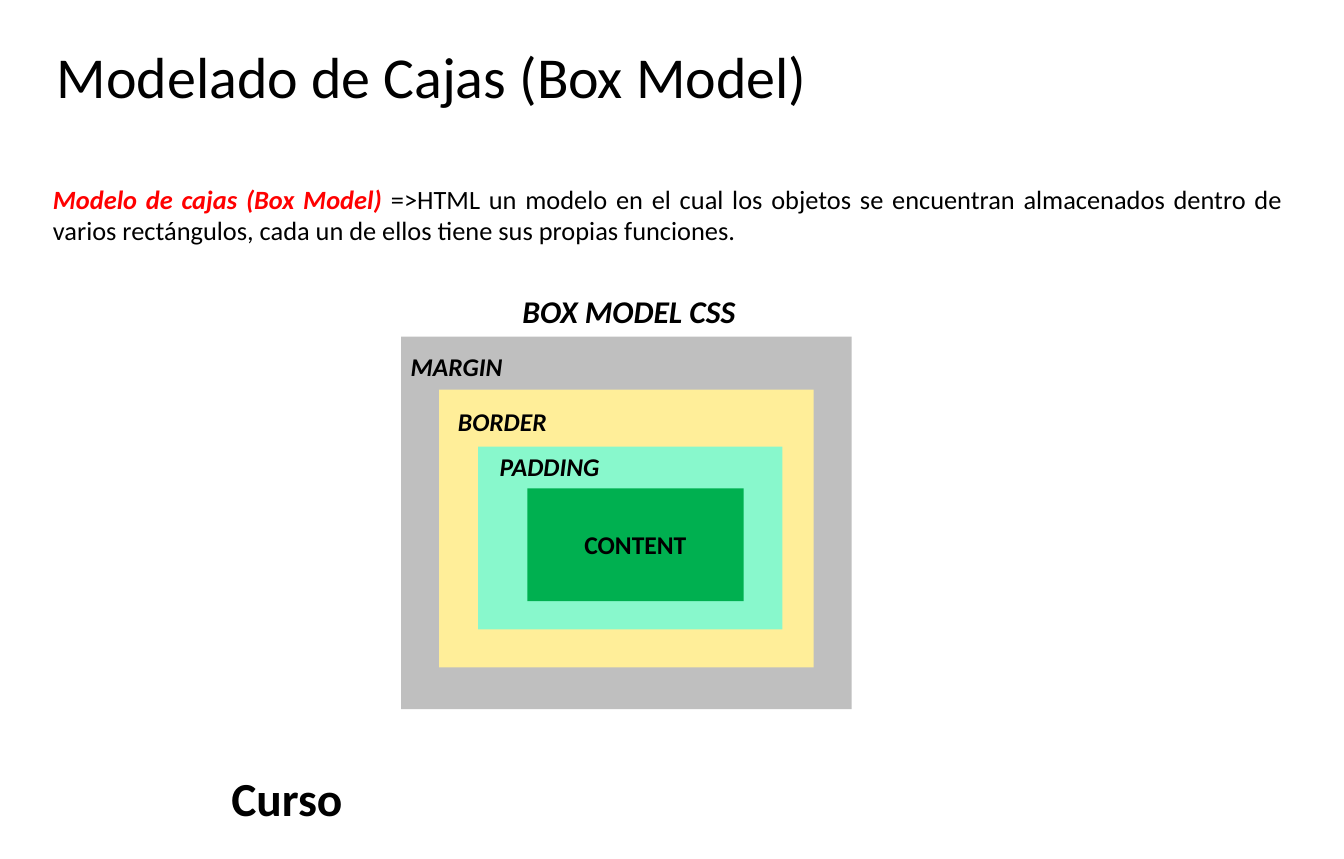
from pptx import Presentation
from pptx import util as u
from pptx.dml.color import RGBColor
from pptx.enum import shapes, text

WIDTH, HEIGHT = 14.17, 9.06
FONT = "Calibri"
LABEL_SIZE = 19.4
COLORS = {
    "ink": "000000",
    "accent": "FF0000",
    "margin": "BFBFBF",
    "border": "FFEE99",
    "padding": "88F8CC",
    "content": "00B050",
}
LAYERS = [
    ("margin", (0, 0, 4.75, 3.93), (0, 0.1, 1.18)),
    ("border", (0.4, 0.56, 3.95, 2.93), (0.1, 0.12, 1.15)),
    ("padding", (0.81, 1.16, 3.21, 1.93), (0.13, 0, 1.26)),
    ("content", (1.33, 1.6, 2.28, 1.19), None),
]


def color(name):
    return RGBColor.from_string(COLORS[name])


def style(font, size, bold=False, italic=False):
    font.name, font.size = FONT, u.Pt(size)
    font.bold, font.italic = bold, italic
    font.color.rgb = color("ink")


def add_text(page, box, words, size, bold=False, italic=False, wrap=True,
             align=text.PP_ALIGN.LEFT, anchor=text.MSO_ANCHOR.TOP):
    frame = page.shapes.add_textbox(*map(u.Inches, box)).text_frame
    frame.word_wrap = wrap
    if not wrap:
        frame.auto_size = text.MSO_AUTO_SIZE.SHAPE_TO_FIT_TEXT
    frame.vertical_anchor = anchor
    para = frame.paragraphs[0]
    para.alignment = align
    para.text = words
    style(para.font, size, bold, italic)
    return para


def add_title(page, box):
    para = add_text(page, box, "Modelado de Cajas (Box Model)", 44,
                    anchor=text.MSO_ANCHOR.MIDDLE)
    para.line_spacing = 0.9


def add_definition(page, box):
    para = add_text(page, box, "Modelo de cajas (Box Model) ", 20,
                    align=text.PP_ALIGN.JUSTIFY)
    term = para.runs[0].font
    term.bold = term.italic = True
    term.color.rgb = color("accent")
    span = para.add_run()
    span.text = ("=>HTML un modelo en el cual los objetos se encuentran "
                 "almacenados dentro de varios rectángulos, cada un de ellos "
                 "tiene sus propias funciones.")


def add_layer(page, box, name):
    layer = page.shapes.add_shape(shapes.MSO_SHAPE.RECTANGLE,
                                  *map(u.Inches, box))
    layer.shadow.inherit = False
    layer.fill.solid()
    layer.fill.fore_color.rgb = color(name)
    layer.line.fill.background()
    return layer


def add_box_model(page, left, top):
    add_text(page, (left + 1.18, top - 0.52, 2.47, 0.5), "BOX MODEL CSS", 24,
             bold=True, italic=True, wrap=False)
    for name, (across, down, wide, high), label in LAYERS:
        x, y = left + across, top + down
        layer = add_layer(page, (x, y, wide, high), name)
        if label:
            indent, drop, label_width = label
            add_text(page, (x + indent, y + drop, label_width, 0.43),
                     name.upper(), LABEL_SIZE, bold=True, italic=True,
                     wrap=False)
        else:
            frame = layer.text_frame
            frame.vertical_anchor = text.MSO_ANCHOR.MIDDLE
            para = frame.paragraphs[0]
            para.text = name.upper()
            para.alignment = text.PP_ALIGN.CENTER
            style(para.font, LABEL_SIZE, bold=True)


def add_footer(page, box):
    add_text(page, box, "Curso", 36, bold=True, align=text.PP_ALIGN.CENTER)


def main():
    deck = Presentation()
    deck.slide_width, deck.slide_height = u.Inches(WIDTH), u.Inches(HEIGHT)
    page = deck.slides.add_slide(deck.slide_layouts[6])
    add_footer(page, (0.65, 8.06, 4.75, 0.71))
    add_title(page, (0.5, -0.03, 13.16, 1.75))
    add_definition(page, (0.46, 1.88, 13.16, 0.77))
    add_box_model(page, 4.23, 3.55)
    deck.save("out.pptx")


if __name__ == "__main__":
    main()
